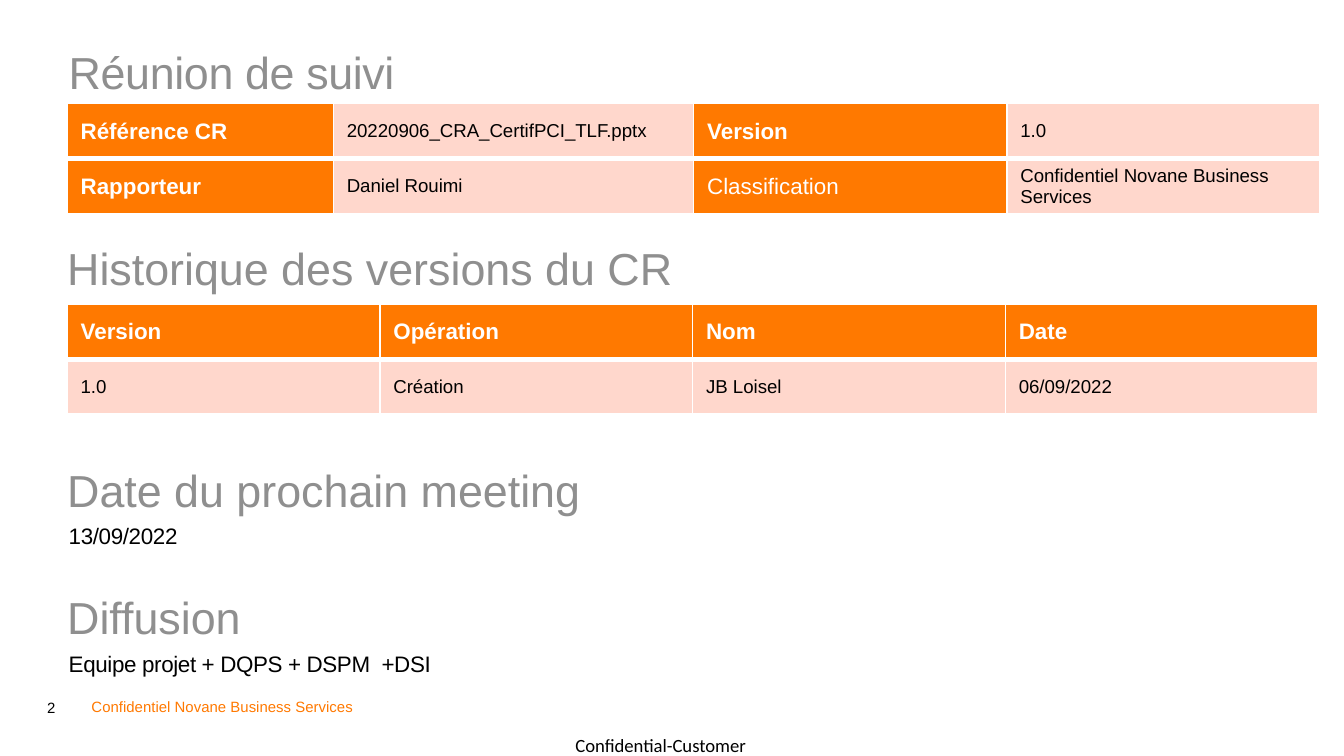
from lxml import etree
from pptx import Presentation
from pptx.dml.color import RGBColor
from pptx.enum import text
from pptx.oxml import ns
from pptx.util import Cm, Pt

ORANGE = RGBColor(0xFF, 0x79, 0x00)
PINK = RGBColor(0xFF, 0xD7, 0xCC)
GREY = RGBColor(0x8F, 0x8F, 0x8F)
BLACK = RGBColor(0, 0, 0)
WHITE = RGBColor(0xFF, 0xFF, 0xFF)
CONFIDENTIALITY = "Confidentiel Novane Business Services"
LEFT = 1.27


def set_font(paragraph, size, color, bold=False, name="Arial"):
    paragraph.font.name = name
    paragraph.font.size = Pt(size)
    paragraph.font.bold = bold
    paragraph.font.color.rgb = color


def add_text(slide, box, words, size, color, name="Arial", wrap=True, tight=False):
    frame = slide.shapes.add_textbox(*map(Cm, box)).text_frame
    frame.margin_left = frame.margin_right = 0
    frame.margin_top = frame.margin_bottom = 0
    frame.word_wrap = wrap
    line = frame.paragraphs[0]
    line.text = words
    set_font(line, size, color, name=name)
    if tight:
        line.line_spacing = 0.9
        line.runs[0].font._element.set("spc", "-20")
    return frame


def add_border(cell, side, width):
    border = etree.SubElement(cell._tc.get_or_add_tcPr(), ns.qn(f"a:ln{side}"), w=str(Pt(width)))
    fill = etree.SubElement(border, ns.qn("a:solidFill"))
    etree.SubElement(fill, ns.qn("a:srgbClr"), val=str(WHITE))


def add_grid(slide, box, widths, rows, is_label, plain=()):
    grid = slide.shapes.add_table(len(rows), len(widths), *map(Cm, box)).table
    grid.first_row = grid.horz_banding = False
    for column, width in zip(grid.columns, widths):
        column.width = Cm(width)
    for r, row in enumerate(rows):
        grid.rows[r].height = Cm(box[3] / len(rows))
        for c, words in enumerate(row):
            cell = grid.cell(r, c)
            borders = {"L": 1, "R": 1, "T": 1, "B": 3} if r == 0 else {"L": 1, "R": 1, "B": 1}
            for side, width in borders.items():
                add_border(cell, side, width)
            label = is_label(r, c)
            cell.fill.solid()
            cell.fill.fore_color.rgb = ORANGE if label else PINK
            cell.vertical_anchor = text.MSO_ANCHOR.MIDDLE
            cell.margin_top = cell.margin_bottom = Cm(0.1)
            cell.text = words
            set_font(cell.text_frame.paragraphs[0], 12 if label else 10,
                     WHITE if label else BLACK, label and words not in plain)


def add_meeting(slide, left, top, width):
    add_text(slide, (left + 0.03, top, 19.7, 1), "Réunion de suivi", 24, GREY, tight=True)
    rows = [
        ("Référence CR", "20220906_CRA_CertifPCI_TLF.pptx", "Version", "1.0"),
        ("Rapporteur", "Daniel Rouimi", "Classification", CONFIDENTIALITY),
    ]
    add_grid(slide, (left, top + 0.99, width, 2.08), (5.03, 6.81, 5.92, 5.92), rows,
             lambda r, c: c % 2 == 0, plain=("Classification",))


def add_history(slide, left, top, width):
    add_text(slide, (left, top, 19.7, 1.1), "Historique des versions du CR", 24, GREY)
    rows = [
        ("Version", "Opération", "Nom", "Date"),
        ("1.0", "Création", "JB Loisel", "06/09/2022"),
    ]
    add_grid(slide, (left, top + 1.2, width, 2.08), [width / 4] * 4, rows, lambda r, c: r == 0)


def add_note(slide, left, top, width, heading, words):
    add_text(slide, (left, top, width, 1.1), heading, 24, GREY)
    frame = add_text(slide, (left + 0.03, top + 1.19, width, 0.6), words, 12, BLACK, tight=True)
    frame.paragraphs[0].space_before = Pt(6)


def add_footer(slide, left, top):
    number = add_text(slide, (left, top, 0.76, 0.94), "2", 8, BLACK)
    number.margin_left = Cm(0.03)
    number.vertical_anchor = text.MSO_ANCHOR.BOTTOM
    number.paragraphs[0].line_spacing = 0.85
    add_text(slide, (left + 0.87, top + 0.58, 5.28, 0.33), CONFIDENTIALITY, 8, ORANGE, wrap=False)
    customer = add_text(slide, (left + 9.96, top + 1.27, 3.33, 0.43), "Confidential-Customer",
                        10, BLACK, name="Calibri")
    customer.paragraphs[0].alignment = text.PP_ALIGN.CENTER


def main():
    deck = Presentation()
    deck.slide_width, deck.slide_height = Cm(25.4), Cm(14.29)
    slide = deck.slides.add_slide(deck.slide_layouts[6])
    add_meeting(slide, LEFT, 0.97, 23.68)
    add_history(slide, LEFT, 4.55, 23.64)
    add_note(slide, LEFT, 8.74, 11.23, "Date du prochain meeting", "13/09/2022")
    add_note(slide, LEFT, 11.15, 11.23, "Diffusion", "Equipe projet + DQPS + DSPM  +DSI")
    add_footer(slide, 0.86, 12.6)
    deck.save("out.pptx")


if __name__ == "__main__":
    main()
